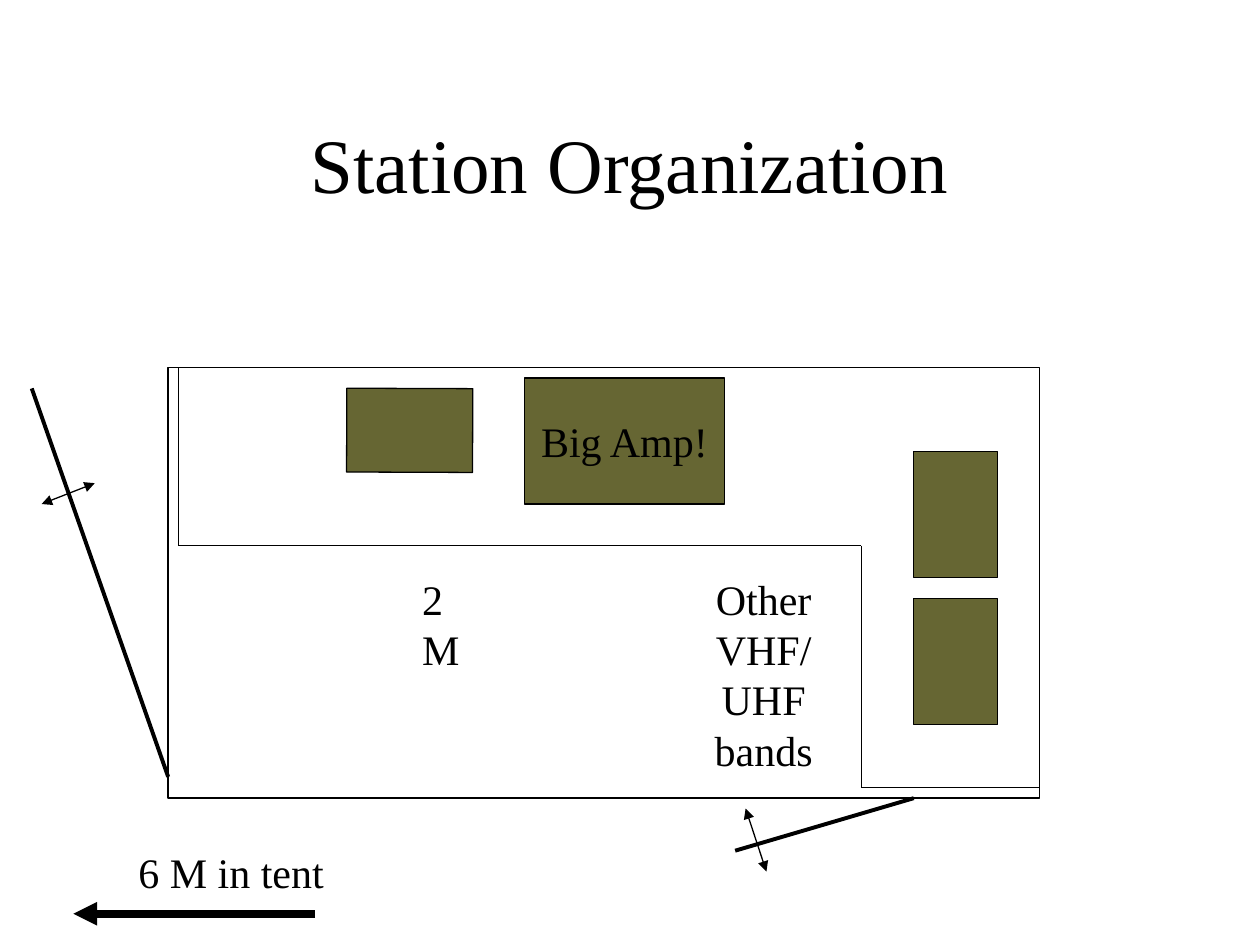
from typing import NamedTuple

from lxml.etree import SubElement
from pptx import Presentation
from pptx.dml.color import RGBColor
from pptx.enum.shapes import MSO_CONNECTOR, MSO_SHAPE
from pptx.enum.text import MSO_ANCHOR, MSO_AUTO_SIZE, PP_ALIGN
from pptx.oxml.ns import qn
from pptx.util import Cm, Pt

BLACK = "000000"
OLIVE = "666633"
FONT = "Times New Roman"


class Box(NamedTuple):
    left: float
    top: float
    width: float
    height: float

    def lengths(self):
        return [Cm(value) for value in self]


class Line(NamedTuple):
    start: tuple[float, float]
    end: tuple[float, float]
    width: float = 0.75
    head: bool = False
    tail: bool = False


class Label(NamedTuple):
    text: str
    box: Box
    align: PP_ALIGN = PP_ALIGN.LEFT


ROOM = Box(3.39, 7.41, 17.57, 8.68)
ROOM_RIGHT = ROOM.left + ROOM.width
ROOM_BOTTOM = ROOM.top + ROOM.height

DESK_EDGE = [(3.6, ROOM.top), (3.6, 11), (17.36, 11), (17.36, 15.88), (ROOM_RIGHT, 15.88)]

DOORS = [
    Line((ROOM.left, 15.66), (0.64, 7.83), 2.25),
    Line((0.84, 10.16), (1.91, 9.74), head=True, tail=True),
    Line((18.42, ROOM_BOTTOM), (14.82, 17.15), 2.25),
    Line((15.03, 16.3), (15.45, 17.57), head=True, tail=True),
]
TENT_ARROW = Line((6.35, 18.42), (1.48, 18.42), 4.5, tail=True)

AMPLIFIER = Box(10.58, 7.62, 4.02, 2.54)
TWO_METRE_RADIO = Box(6.99, 7.83, 2.54, 1.69)
OTHER_RADIOS = [Box(18.42, top, 1.69, 2.54) for top in (12.07, 9.1)]

LABELS = [
    Label("Other\nVHF/UHF\nbands", Box(13.34, 11.43, 4.11, 3.3), PP_ALIGN.CENTER),
    Label("2 M", Box(8.26, 11.43, 1.88, 1.27)),
    Label("6 M in tent", Box(2.54, 16.93, 4.24, 1.27)),
]


def color(value: str) -> RGBColor:
    return RGBColor.from_string(value)


def write_text(shape, text: str, *, size=24, align=PP_ALIGN.CENTER,
               anchor=MSO_ANCHOR.MIDDLE, wrap=False, grow=False) -> None:
    frame = shape.text_frame
    frame.text = text
    frame.word_wrap = wrap
    frame.vertical_anchor = anchor
    frame.auto_size = MSO_AUTO_SIZE.SHAPE_TO_FIT_TEXT if grow else MSO_AUTO_SIZE.NONE
    for paragraph in frame.paragraphs:
        paragraph.alignment = align
        paragraph.font.name = FONT
        paragraph.font.size = Pt(size)
        paragraph.font.color.rgb = color(BLACK)


def draw_rectangle(slide, box: Box, fill: str | None = OLIVE, rotation: float = 0):
    shape = slide.shapes.add_shape(MSO_SHAPE.RECTANGLE, *box.lengths())
    shape.shadow.inherit = False
    shape.rotation = rotation
    if fill:
        shape.fill.solid()
        shape.fill.fore_color.rgb = color(fill)
    else:
        shape.fill.background()
    shape.line.color.rgb = color(BLACK)
    shape.line.width = Pt(0.75)
    return shape


def draw_line(slide, line: Line) -> None:
    points = [Cm(value) for value in line.start + line.end]
    connector = slide.shapes.add_connector(MSO_CONNECTOR.STRAIGHT, *points)
    connector.line.color.rgb = color(BLACK)
    connector.line.width = Pt(line.width)
    outline = connector.line._get_or_add_ln()
    for tag, shown in (("a:headEnd", line.head), ("a:tailEnd", line.tail)):
        if shown:
            SubElement(outline, qn(tag), type="triangle")
    SubElement(connector._element.spPr, qn("a:effectLst"))


def main() -> None:
    presentation = Presentation()
    presentation.slide_width = Cm(25.4)
    presentation.slide_height = Cm(19.05)
    slide = presentation.slides.add_slide(presentation.slide_layouts[6])

    title = slide.shapes.add_textbox(*Box(1.9, 1.69, 21.59, 3.18).lengths())
    write_text(title, "Station Organization", size=44, wrap=True)

    draw_rectangle(slide, ROOM, fill=None)
    for start, end in zip(DESK_EDGE, DESK_EDGE[1:]):
        draw_line(slide, Line(start, end))
    for line in DOORS:
        draw_line(slide, line)

    write_text(draw_rectangle(slide, AMPLIFIER), "Big Amp!")
    draw_rectangle(slide, TWO_METRE_RADIO, rotation=0.2)
    for radio in OTHER_RADIOS:
        draw_rectangle(slide, radio)

    for label in LABELS:
        shape = slide.shapes.add_textbox(*label.box.lengths())
        write_text(shape, label.text, align=label.align, anchor=MSO_ANCHOR.TOP, grow=True)
    draw_line(slide, TENT_ARROW)

    presentation.save("out.pptx")


if __name__ == "__main__":
    main()
